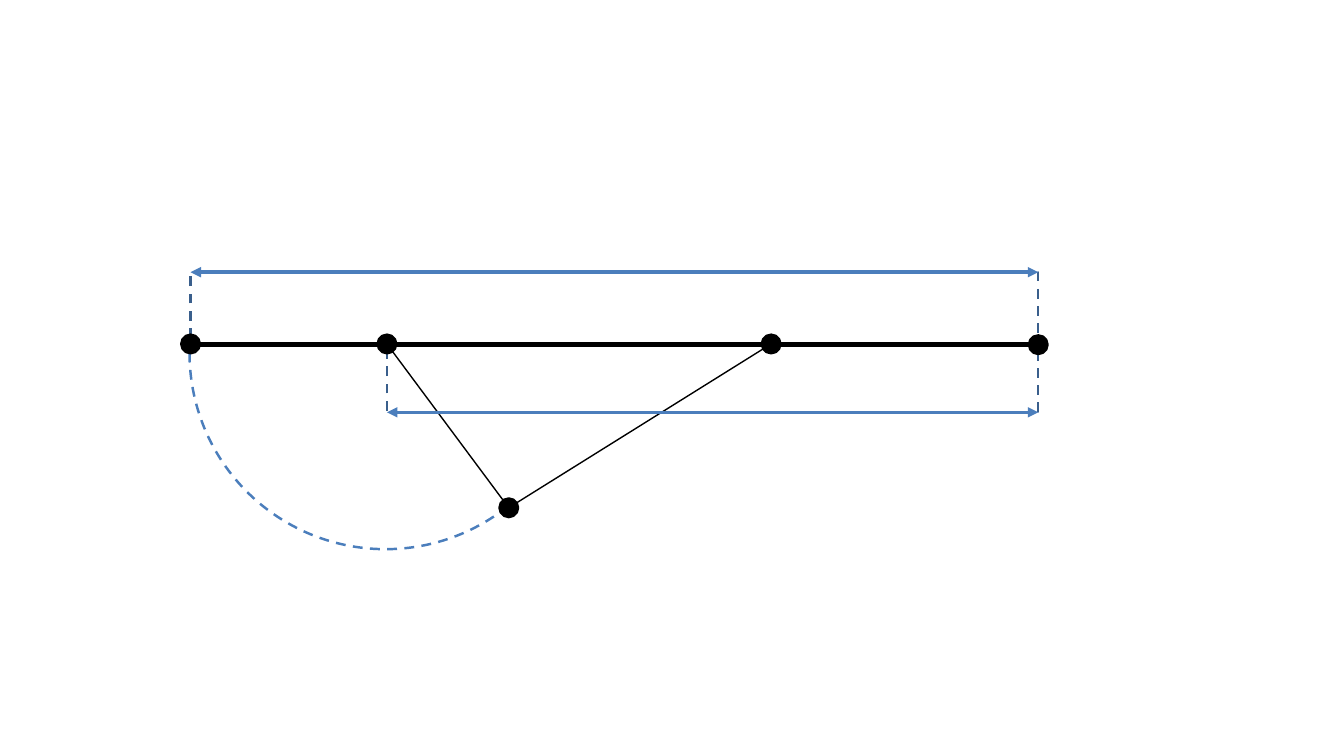
from lxml import etree
from pptx import Presentation
from pptx.dml.color import RGBColor
from pptx.enum.dml import MSO_LINE
from pptx.enum.shapes import MSO_CONNECTOR, MSO_SHAPE
from pptx.oxml.ns import qn
from pptx.util import Pt

ARC, RECT, DOT = MSO_SHAPE.ARC, MSO_SHAPE.RECTANGLE, MSO_SHAPE.OVAL
STRAIGHT, DASH = MSO_CONNECTOR.STRAIGHT, MSO_LINE.DASH
BLACK = RGBColor(0x00, 0x00, 0x00)
BLUE = RGBColor(0x4B, 0x7E, 0xBC)
DARK_BLUE = RGBColor(0x3A, 0x5F, 0x8C)

# Joints of the linkage, as centres in points
LEFT_END = (136.1, 245.7)
PIVOT = (276.4, 245.7)
SLIDER = (550.8, 245.7)
RIGHT_END = (741.6, 246.2)
CRANK = (363.4, 362.7)

BAR_Y = 246.2
UPPER_Y, LOWER_Y = 194.4, 294.5
DOT_SIZE = 13
ARC_CENTRE, ARC_RADIUS = (275.4, 252.3), 140
ARC_ANGLES = (51.4, 182.8)
ADJUST_PER_DEGREE = 0.6  # 60000 angle units per degree, adjustments scaled by 100000


def add_outline(kind, left, top, right, bottom, color, weight, fill=None, dash=None):
    sp = shapes.add_shape(kind, Pt(left), Pt(top), Pt(right - left), Pt(bottom - top))
    sp.shadow.inherit = False
    if fill is None:
        sp.fill.background()
    else:
        sp.fill.solid()
        sp.fill.fore_color.rgb = fill
    sp.line.color.rgb = color
    sp.line.width = Pt(weight)
    if dash is not None:
        sp.line.dash_style = dash
    return sp


def add_around(kind, centre, radius, **look):
    """Add a shape in the square of the given half-width about a centre."""
    x, y = centre
    return add_outline(kind, x - radius, y - radius, x + radius, y + radius, **look)


def add_dot(centre):
    add_around(DOT, centre, DOT_SIZE / 2, color=BLACK, weight=2, fill=BLACK)


def add_line(start, end, color, weight, arrows=False):
    line = shapes.add_connector(STRAIGHT, *map(Pt, start + end))
    line.line.color.rgb = color
    line.line.width = Pt(weight)
    if arrows:
        ln = line.line._get_or_add_ln()
        for tag in ("a:headEnd", "a:tailEnd"):
            etree.SubElement(ln, qn(tag), type="triangle")
    etree.SubElement(line._element.spPr, qn("a:effectLst"))


prs = Presentation()
prs.slide_width, prs.slide_height = Pt(960), Pt(540)
shapes = prs.slides.add_slide(prs.slide_layouts[6]).shapes

swing = add_around(ARC, ARC_CENTRE, ARC_RADIUS, color=BLUE, weight=1.75, dash=DASH)
for i, angle in enumerate(ARC_ANGLES):
    swing.adjustments[i] = angle * ADJUST_PER_DEGREE

guide = dict(color=DARK_BLUE, weight=1.75, dash=DASH)
add_outline(RECT, PIVOT[0], BAR_Y, RIGHT_END[0], LOWER_Y, **guide)
for joint in (PIVOT, SLIDER, CRANK):
    add_dot(joint)
for joint in (PIVOT, SLIDER):
    add_line(joint, CRANK, BLACK, 1)

add_outline(RECT, LEFT_END[0], UPPER_Y, RIGHT_END[0], BAR_Y, **guide)
add_line((LEFT_END[0] + DOT_SIZE / 2, BAR_Y), (RIGHT_END[0] - DOT_SIZE / 2, BAR_Y), BLACK, 3.5)
for joint in (LEFT_END, RIGHT_END):
    add_dot(joint)

for joint, y in ((LEFT_END, UPPER_Y), (PIVOT, LOWER_Y)):
    add_line((joint[0], y), (RIGHT_END[0], y), BLUE, 2.5, arrows=True)

prs.save("out.pptx")
